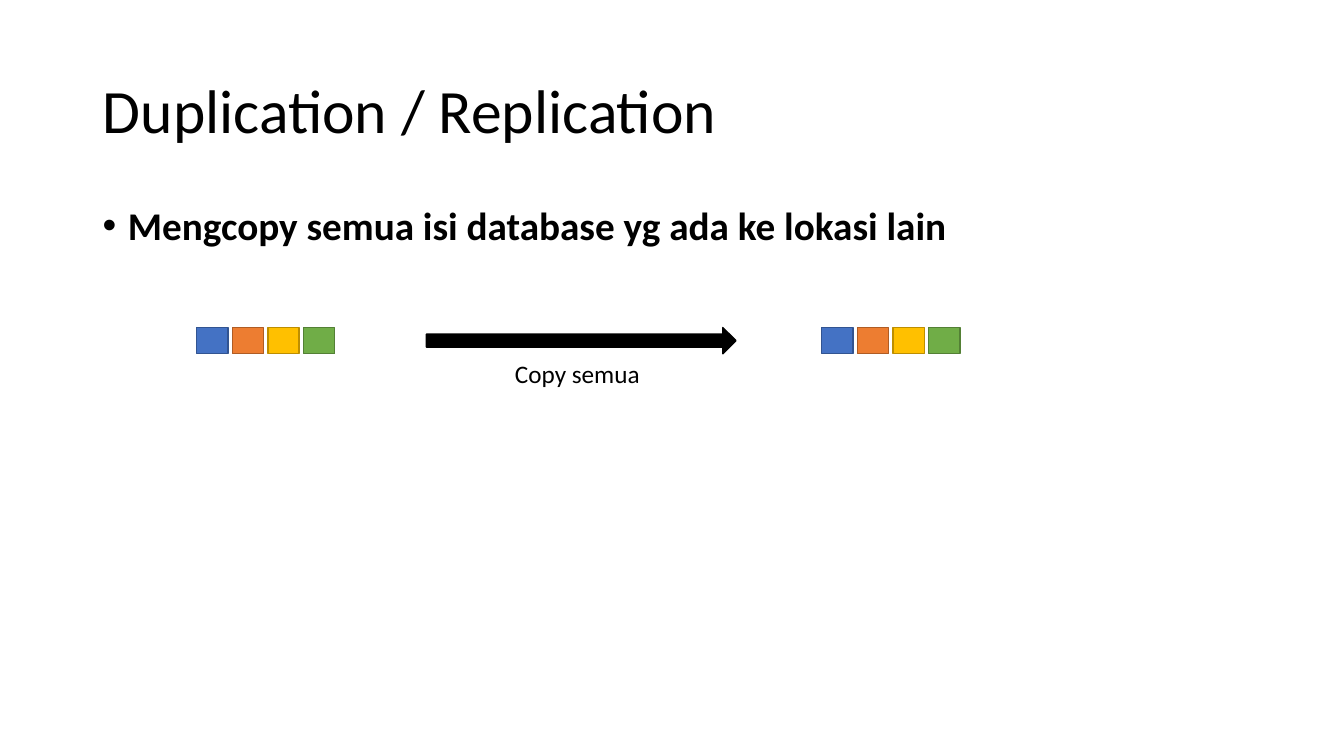
from lxml import etree
from pptx import Presentation
from pptx import util as u
from pptx.dml.color import RGBColor
from pptx.enum import shapes, text
from pptx.oxml.ns import qn

WIDTH, HEIGHT = u.Inches(13.33), u.Inches(7.5)
FONT = "Calibri"
BLACK = RGBColor(0x00, 0x00, 0x00)
BLUE, DARK_BLUE = RGBColor(0x44, 0x72, 0xC4), RGBColor(0x32, 0x54, 0x91)
ORANGE, DARK_ORANGE = RGBColor(0xED, 0x7D, 0x31), RGBColor(0xAF, 0x5C, 0x24)
GOLD, DARK_GOLD = RGBColor(0xFF, 0xC0, 0x00), RGBColor(0xBD, 0x8E, 0x00)
GREEN, DARK_GREEN = RGBColor(0x70, 0xAD, 0x47), RGBColor(0x53, 0x80, 0x35)
FRAGMENTS = [(BLUE, DARK_BLUE), (ORANGE, DARK_ORANGE),
             (GOLD, DARK_GOLD), (GREEN, DARK_GREEN)]

MARGIN, CONTENT_WIDTH = 6.9, 86.27
DIAGRAM_TOP, DIAGRAM_HEIGHT = 43.33, 3.47
FRAGMENT_WIDTH, FRAGMENT_STEP = 2.33, 2.65
SOURCE_LEFT, TARGET_LEFT = 14.63, 61.14


def area(left, top, width, height):
    return (round(WIDTH * left / 100), round(HEIGHT * top / 100),
            round(WIDTH * width / 100), round(HEIGHT * height / 100))


def write(frame, words, size, bold=False):
    frame.text = words
    paragraph = frame.paragraphs[0]
    paragraph.alignment = text.PP_ALIGN.LEFT
    font = paragraph.runs[0].font
    font.name, font.size, font.bold = FONT, u.Pt(size), bold
    font.color.rgb = BLACK
    return paragraph


def add_title(slide, words):
    title = slide.shapes.title
    title.left, title.top, title.width, title.height = area(
        MARGIN, 5.33, CONTENT_WIDTH, 19.33)
    frame = title.text_frame
    frame.auto_size = text.MSO_AUTO_SIZE.NONE
    frame.vertical_anchor = text.MSO_ANCHOR.MIDDLE
    write(frame, words, 44).line_spacing = 0.9


def add_bullet(slide, words):
    frame = slide.shapes.add_textbox(
        *area(MARGIN, 26.67, CONTENT_WIDTH, 63.47)).text_frame
    frame.word_wrap = True
    paragraph = write(frame, words, 28, bold=True)
    paragraph.line_spacing = 0.9
    paragraph.space_before = u.Pt(10)
    properties = paragraph.runs[0]._r.getparent().get_or_add_pPr()
    indent = u.Inches(0.25)
    properties.set("marL", str(indent))
    properties.set("indent", str(-indent))
    etree.SubElement(properties, qn("a:buFont")).set("typeface", "Arial")
    etree.SubElement(properties, qn("a:buChar")).set("char", "•")


def add_label(slide, words):
    frame = slide.shapes.add_textbox(*area(37.58, 46.8, 10.88, 5.33)).text_frame
    frame.word_wrap = False
    frame.auto_size = text.MSO_AUTO_SIZE.SHAPE_TO_FIT_TEXT
    write(frame, words, 18)


def add_block(slide, kind, left, width, fill, outline):
    shape = slide.shapes.add_shape(
        kind, *area(left, DIAGRAM_TOP, width, DIAGRAM_HEIGHT))
    shape.shadow.inherit = False
    shape.fill.solid()
    shape.fill.fore_color.rgb = fill
    shape.line.color.rgb = outline
    shape.line.width = u.Pt(1)


def add_database(slide, left):
    for index, (fill, outline) in enumerate(FRAGMENTS):
        add_block(slide, shapes.MSO_SHAPE.RECTANGLE,
                  left + index * FRAGMENT_STEP, FRAGMENT_WIDTH, fill, outline)


def main():
    presentation = Presentation()
    presentation.slide_width, presentation.slide_height = WIDTH, HEIGHT
    title_only = presentation.slide_layouts.get_by_name("Title Only")
    slide = presentation.slides.add_slide(title_only)
    add_title(slide, "Duplication / Replication")
    add_bullet(slide, "Mengcopy semua isi database yg ada ke lokasi lain")
    for left in (SOURCE_LEFT, TARGET_LEFT):
        add_database(slide, left)
    add_block(slide, shapes.MSO_SHAPE.RIGHT_ARROW, 31.73, 23.03, BLACK, BLACK)
    add_label(slide, "Copy semua")
    presentation.save("out.pptx")


main()
